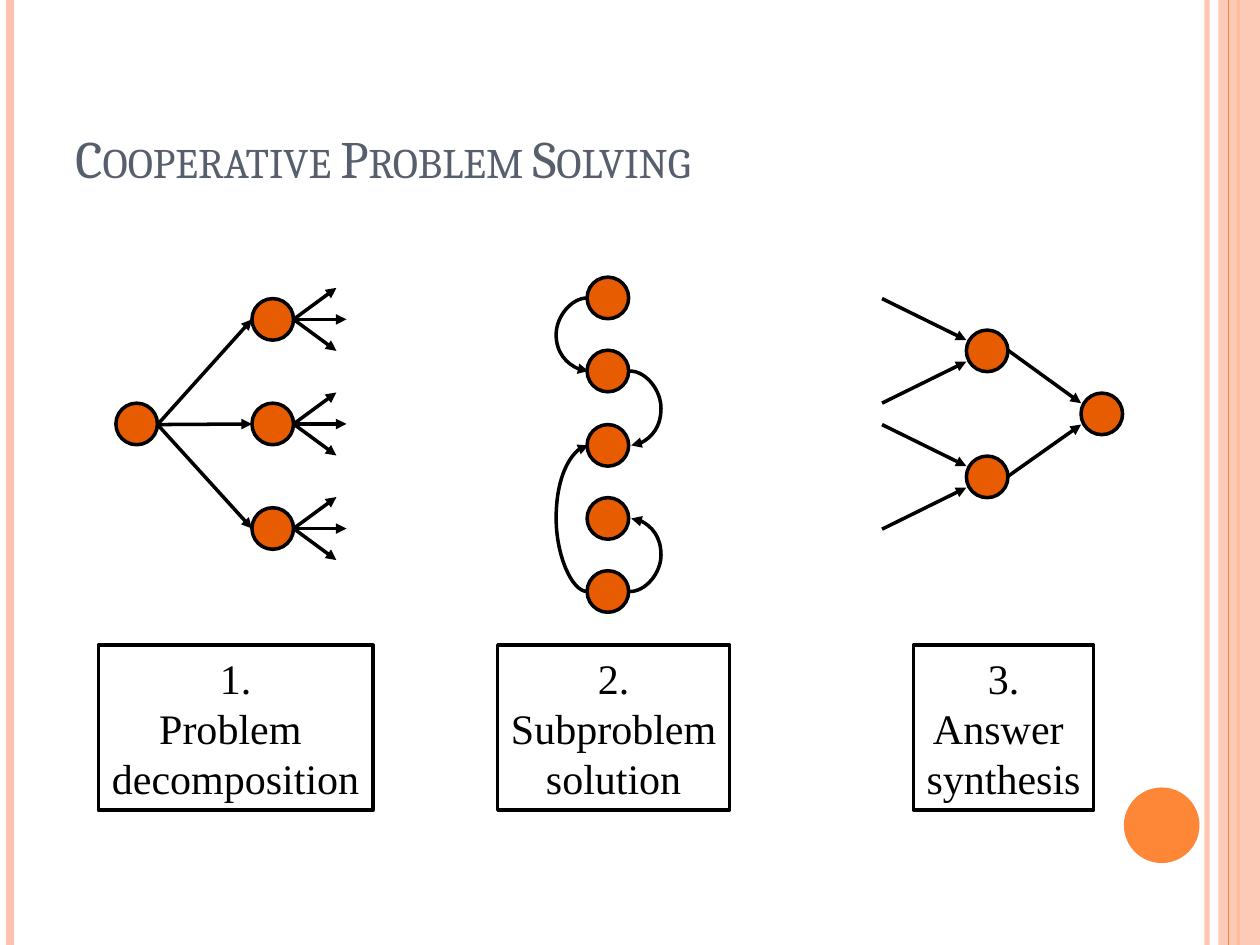
from lxml import etree
from pptx import Presentation
from pptx.dml.color import RGBColor
from pptx.enum import shapes, text
from pptx.oxml.ns import qn
from pptx.util import Inches, Pt

PEACH = RGBColor(0xFE, 0xC3, 0xAE)
ORANGE = RGBColor(0xFE, 0x86, 0x37)
NODE = RGBColor(0xE7, 0x5C, 0x01)
SLATE = RGBColor(0x57, 0x5F, 0x6D)
BLACK = RGBColor(0, 0, 0)
WHITE = RGBColor(255, 255, 255)
D = 0.33  # node diameter

prs = Presentation()
prs.slide_width, prs.slide_height = Inches(10), Inches(7.5)
s = prs.slides.add_slide(prs.slide_layouts[6])


def add_line(x1, y1, x2, y2, color=BLACK, width=2, arrow=True, bend=None, alpha=None):
    """Draw a line; bend is how far a curve bulges sideways from its start."""
    kind = shapes.MSO_CONNECTOR.CURVE if bend else shapes.MSO_CONNECTOR.STRAIGHT
    c = s.shapes.add_connector(kind, Inches(x1), Inches(y1), Inches(x2), Inches(y2))
    c.line.color.rgb, c.line.width = color, Pt(width)
    sp_pr = c._element.spPr
    ln = sp_pr.find(qn("a:ln"))
    if alpha:
        etree.SubElement(ln.find(".//" + qn("a:srgbClr")), qn("a:alpha"), val=str(alpha * 1000))
    if arrow:
        etree.SubElement(ln, qn("a:tailEnd"), type="triangle")
    if bend:
        guides = sp_pr.find(qn("a:prstGeom")).get_or_add_avLst()
        ratio = round(bend / (x2 - x1) * 100000)
        etree.SubElement(guides, qn("a:gd"), name="adj1", fmla=f"val {ratio}")
    etree.SubElement(sp_pr, qn("a:effectLst"))


def add_box(x, y, w, h, lines=(), shape=shapes.MSO_SHAPE.RECTANGLE, fill=None, line=None,
            font="Times New Roman", size=24, color=BLACK, align=text.PP_ALIGN.CENTER,
            anchor=text.MSO_ANCHOR.MIDDLE, wrap=False, small_caps=False):
    sp = s.shapes.add_shape(shape, Inches(x), Inches(y), Inches(w), Inches(h))
    sp.shadow.inherit = False
    if fill is None:
        sp.fill.background()
    else:
        sp.fill.solid()
        sp.fill.fore_color.rgb = fill
    if line is None:
        sp.line.fill.background()
    else:
        sp.line.color.rgb, sp.line.width = line, Pt(2)
    tf = sp.text_frame
    tf.word_wrap, tf.vertical_anchor = wrap, anchor
    for i, words in enumerate(lines):
        p = tf.add_paragraph() if i else tf.paragraphs[0]
        p.alignment = align
        r = p.add_run()
        r.text = words
        r.font.name, r.font.size, r.font.color.rgb = font, Pt(size), color
        if small_caps:
            r._r.get_or_add_rPr().set("cap", "small")
    return sp


# Side stripes and corner disc
add_line(9.58, 0, 9.58, 7.5, PEACH, 3, arrow=False, alpha=93)
add_line(0.08, 0, 0.08, 7.5, PEACH, 4.5, arrow=False)
add_line(9.83, 0, 9.83, 7.5, ORANGE, 1.5, arrow=False)
band = add_box(9.67, 0, 0.33, 7.5, fill=PEACH)
etree.SubElement(band._element.spPr.find(".//" + qn("a:srgbClr")), qn("a:alpha"), val="87000")
add_line(9.75, 0, 9.75, 7.5, ORANGE, 0.75, arrow=False)
add_box(8.92, 6.25, 0.6, 0.6, shape=shapes.MSO_SHAPE.OVAL, fill=ORANGE)

add_box(0.5, 0.3, 8.17, 1.25, ["Cooperative Problem Solving"], font="Cambria", size=30,
        color=SLATE, align=text.PP_ALIGN.LEFT, anchor=text.MSO_ANCHOR.BOTTOM,
        wrap=True, small_caps=True)

# Nodes of the three diagrams, as left and top
branch_tops = [2.37, 3.2, 4.03]
chain_tops = [2.2, 2.78, 3.37, 3.95, 4.53]
nodes = [(0.92, 3.2), *((2, y) for y in branch_tops), *((4.66, y) for y in chain_tops),
         (7.67, 2.62), (7.67, 3.62), (8.58, 3.12)]
for x, y in nodes:
    add_box(x, y, D, D, shape=shapes.MSO_SHAPE.OVAL, fill=NODE, line=BLACK)

# 1. Decomposition: one node fans out to three, each of which fans out again
for top in branch_tops:
    y = top + D / 2
    add_line(1.25, 3.37, 2, y)
    for x_end, dy in [(2.75, 0), (2.67, -0.25), (2.67, 0.25)]:
        add_line(2.33, y, x_end, y + dy)

# 2. Subproblem solution: curves between chain nodes, bulging left or right
for start, end, x, bend in [(0, 1, 4.66, -0.25), (1, 2, 5, 0.25),
                            (4, 3, 5, 0.25), (4, 2, 4.66, -0.25)]:
    add_line(x, chain_tops[start] + D / 2, x + 0.01, chain_tops[end] + D / 2, bend=bend)

# 3. Synthesis: pairs of inputs merge into two nodes, then into one
for y, y_end in [(2.78, 3.2), (3.78, 3.37)]:
    add_line(7, y - 0.41, 7.67, y - 0.08)
    add_line(7, y + 0.42, 7.67, y + 0.09)
    add_line(8, y, 8.58, y_end)

captions = [(0.78, 2.18, ["1.", "Problem ", "decomposition"]),
            (3.95, 1.84, ["2.", "Subproblem", "solution"]),
            (7.25, 1.43, ["3.", "Answer ", "synthesis"])]
for x, w, lines in captions:
    add_box(x, 5.12, w, 1.31, lines, fill=WHITE, line=BLACK)

prs.save("out.pptx")
